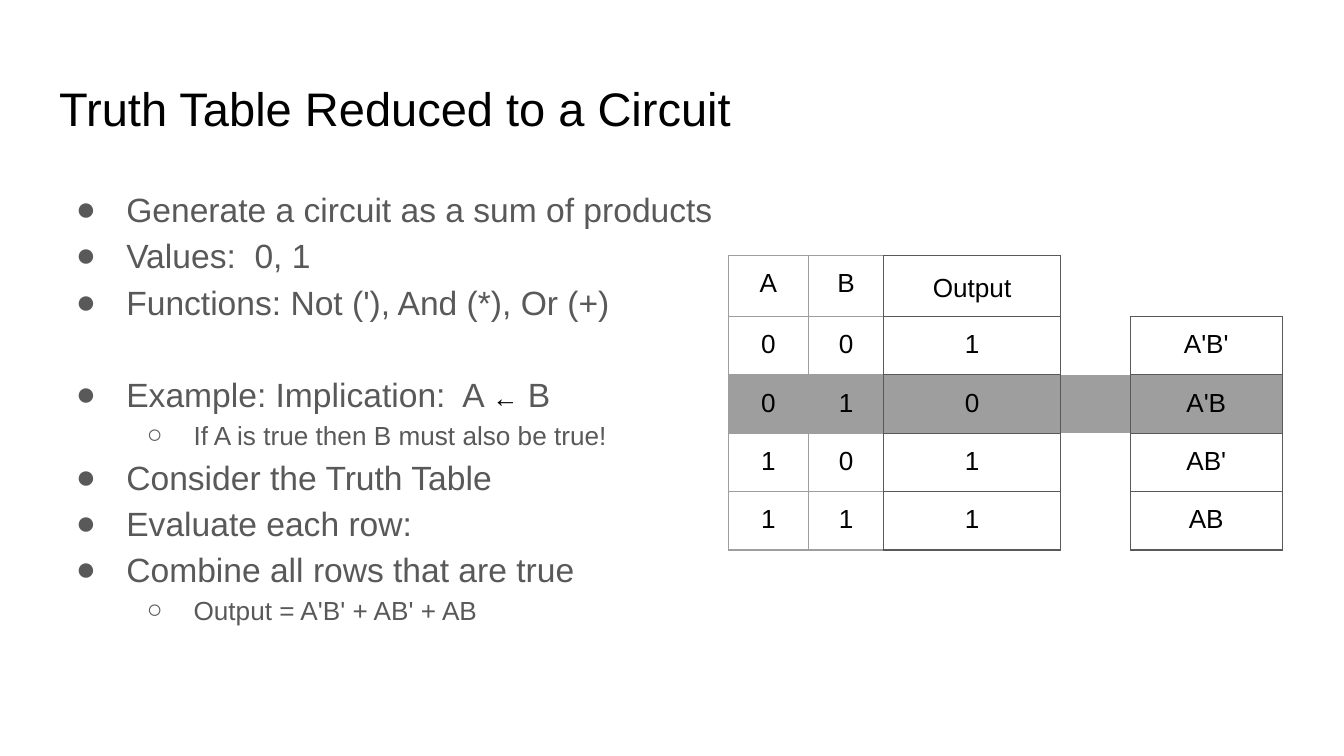
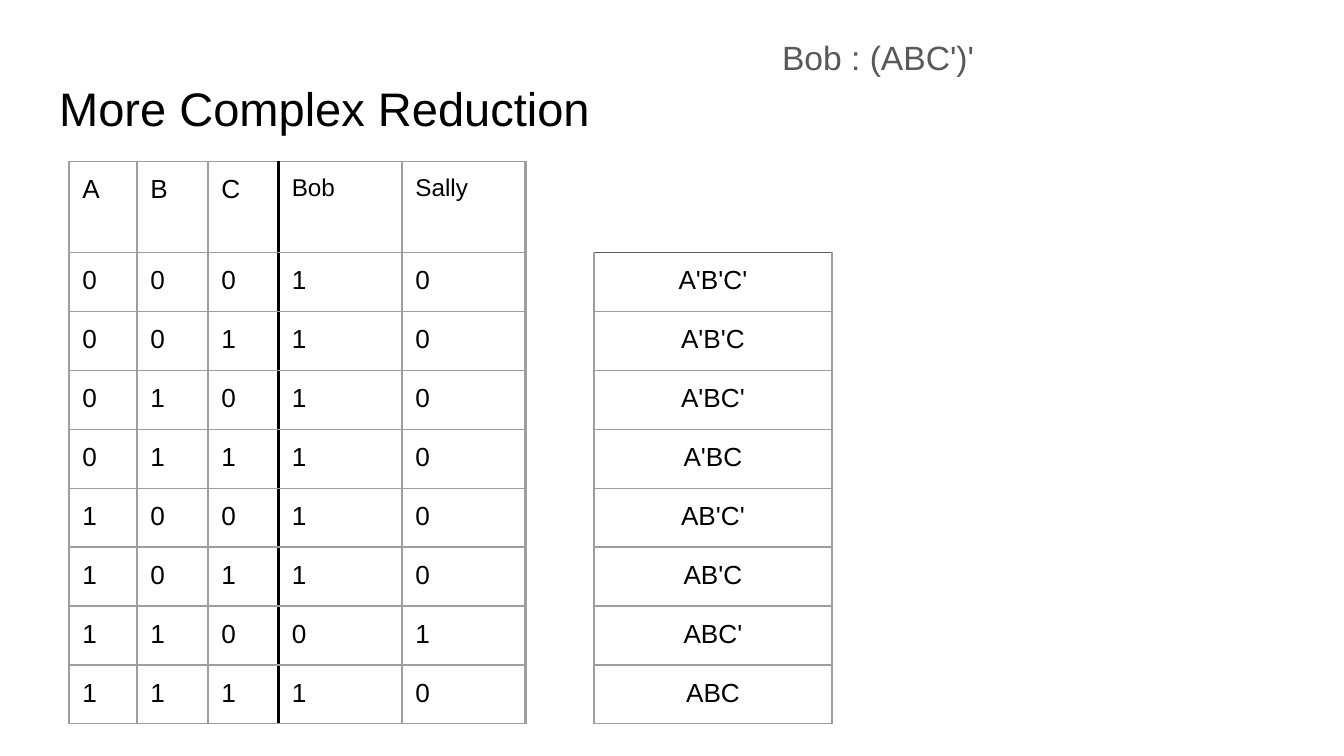
from itertools import product

from lxml.etree import SubElement as Sub, Element
from pptx import Presentation
from pptx.dml.color import RGBColor as Rgb
from pptx.enum.text import MSO_ANCHOR as Anchor, MSO_AUTO_SIZE as Fit, PP_ALIGN as Align
from pptx.oxml.ns import qn
from pptx.util import Pt

HUES = {"ink": "000000", "text": "595959", "line": "9E9E9E"}
FONT = "Arial"
PAD = 7.2
THIN, THICK = 0.75, 1.5
LIGHT, DARK = ("line", THIN), ("text", THIN)
BOLD, BAR = ("line", THICK), ("ink", THICK)


class Deck:
    """Holds the style and the current slide."""

    def __init__(self, wide, high):
        self.prs = Presentation()
        self.prs.slide_width, self.prs.slide_height = Pt(wide), Pt(high)
        self.slide = None

    def add(self, title):
        self.slide = self.prs.slides.add_slide(self.prs.slide_layouts[1])
        frame = self.place(self.slide.shapes.title, 24.5, 35.3, 671, 45.4)
        frame.text = title
        para = frame.paragraphs[0]
        para.alignment = Align.LEFT
        self.style(para, 25.2, "ink")

    def place(self, shape, left, top, wide, high):
        shape.left, shape.top = Pt(left), Pt(top)
        shape.width, shape.height = Pt(wide), Pt(high)
        frame = shape.text_frame
        frame.word_wrap, frame.auto_size = True, Fit.NONE
        frame.vertical_anchor = Anchor.TOP
        self.pad(frame)
        return frame

    def pad(self, item):
        item.margin_left = item.margin_right = Pt(PAD)
        item.margin_top = item.margin_bottom = Pt(PAD)

    def style(self, para, size, hue):
        for run in para.runs:
            run.font.name, run.font.size = FONT, Pt(size)
            run.font.color.rgb = Rgb.from_string(HUES[hue])

    def body(self, box, items, marks=True):
        """Fill the body with (level, text, gap after) items."""
        frame = self.place(self.slide.placeholders[1], *box)
        for num, (level, text, gap) in enumerate(items):
            para = frame.add_paragraph() if num else frame.paragraphs[0]
            size = 14 if level else 18
            head, arrow, tail = text.partition("←")
            para.text = head
            if arrow:
                para.add_run().text = arrow
                para.add_run().text = tail
            self.style(para, size, "text")
            if arrow:
                font = para.runs[1].font
                font.size, font.color.rgb = Pt(14), Rgb.from_string(HUES["ink"])
            para.level, para.alignment = level, Align.LEFT
            para.line_spacing = 1.15
            para.space_before, para.space_after = Pt(0), Pt(gap)
            self.bullet(para, level, marks)

    def bullet(self, para, level, marks):
        props = para._p.get_or_add_pPr()
        left, hang = ((72, 25) if level else (36, 27)) if marks else (0, 0)
        props.set("marL", str(Pt(left)))
        props.set("indent", str(-Pt(hang)))
        if not marks:
            Sub(props, qn("a:buNone"))
            return
        Sub(Sub(props, qn("a:buClr")), qn("a:srgbClr"), val=HUES["text"])
        Sub(props, qn("a:buFont"), typeface=FONT)
        Sub(props, qn("a:buChar"), char="○" if level else "●")

    def table(self, left, top, cols, highs, rows, post, rail, align, shade=None):
        """post(row, edge) and rail(edge, col) give the upright and level rules."""
        grid = self.slide.shapes.add_table(
            len(rows), len(cols), Pt(left), Pt(top), Pt(sum(cols)), Pt(sum(highs))).table
        grid.first_row = grid.horz_banding = False
        for col, wide in zip(grid.columns, cols):
            col.width = Pt(wide)
        for row, high in zip(grid.rows, highs):
            row.height = Pt(high)
        for r, row in enumerate(rows):
            for c, text in enumerate(row):
                cell = grid.cell(r, c)
                self.fill(cell, r == shade)
                self.edges(cell, post(r, c), post(r, c + 1), rail(r, c), rail(r + 1, c))
                if text:
                    self.pad(cell)
                    cell.text = text
                    para = cell.text_frame.paragraphs[0]
                    para.alignment = align(c)
                    self.style(para, 14, "ink")
        return grid

    def fill(self, cell, shaded):
        if shaded:
            cell.fill.solid()
            cell.fill.fore_color.rgb = Rgb.from_string(HUES["line"])
        else:
            cell.fill.background()

    def edges(self, cell, *rules):
        props = cell._tc.get_or_add_tcPr()
        for num, (side, rule) in enumerate(zip("LRTB", rules)):
            line = Element(qn("a:ln" + side))
            if rule:
                hue, wide = rule
                line.set("w", str(Pt(wide)))
                Sub(Sub(line, qn("a:solidFill")), qn("a:srgbClr"), val=HUES[hue])
            else:
                Sub(line, qn("a:noFill"))
            props.insert(num, line)


def term(names, bits):
    return "".join(n if b else n + "'" for n, b in zip(names, bits))


def truth(names, outs, rule):
    """Header, then one row per input: bits, outputs, a gap and the product."""
    rows = [[*names, *outs, "", ""]]
    for bits in product((0, 1), repeat=len(names)):
        vals = [str(v) for v in (*bits, *rule(bits))]
        rows.append([*vals, "", term(names, bits)])
    return rows


deck = Deck(720, 405)

# Slide 1: list and two-input table
deck.add("Truth Table Reduced to a Circuit")
deck.body((24.5, 90.7, 671, 269.3), [
    (0, "Generate a circuit as a sum of products", 0),
    (0, "Values:  0, 1", 0),
    (0, "Functions: Not ('), And (*), Or (+)", 24.75),
    (0, "Example: Implication:  A ← B", 0),
    (1, "If A is true then B must also be true!", 0),
    (0, "Consider the Truth Table", 0),
    (0, "Evaluate each row:", 0),
    (0, "Combine all rows that are true", 0),
    (1, "Output = A'B' + AB' + AB", 0),
])


def post(row, edge):
    if edge < 2:
        return LIGHT
    return DARK if edge < 4 or row else None


def rail(edge, col):
    if col < 2:
        return LIGHT
    return DARK if col == 2 or (col == 4 and edge) else None


grid = deck.table(
    390.2, 137, [42.9, 40.4, 94.6, 37.5, 81.4], [31.3] * 5,
    truth("AB", ["Output"], lambda bits: [int(bits != (0, 1))]),
    post, rail, lambda col: Align.CENTER, shade=2)
para = grid.cell(0, 2).text_frame.paragraphs[0]
para.line_spacing, para.space_after = 1.15, Pt(12)

# Slide 2: formula and three-input table
deck.add("More Complex Reduction")
deck.body((411.8, 9.4, 401, 216.7), [(0, "Bob : (ABC')'", 0)], marks=False)


def post(row, edge):
    if edge > 5 and not row:
        return None
    return {3: BAR, 4: BOLD, 5: BOLD, 6: BOLD}.get(edge, LIGHT)


def rail(edge, col):
    if col < 5:
        return LIGHT
    if col == 5 or not edge:
        return None
    return DARK if edge == 1 else LIGHT


def duo(bits):
    sally = int(bits == (1, 1, 0))
    return [1 - sally, sally]


grid = deck.table(
    37, 86.4, [36.4, 38, 37.8, 66.2, 66.2, 36.7, 127.5], [48.8] + [31.6] * 8,
    truth("ABC", ["Bob", "Sally"], duo), post, rail,
    lambda col: Align.CENTER if col == 6 else Align.LEFT)
for col in (3, 4):
    deck.style(grid.cell(0, col).text_frame.paragraphs[0], 13, "ink")

deck.prs.save("out.pptx")
